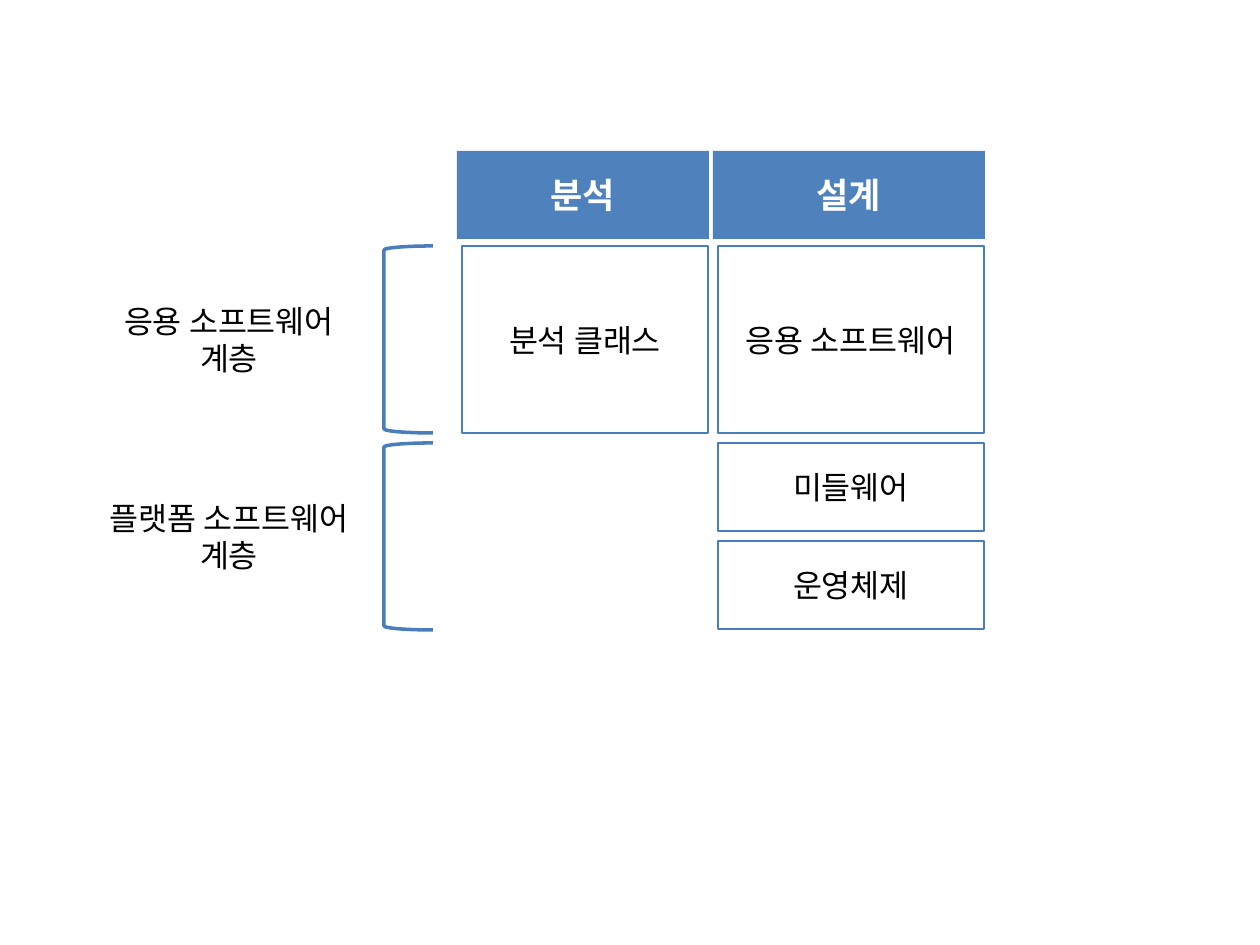
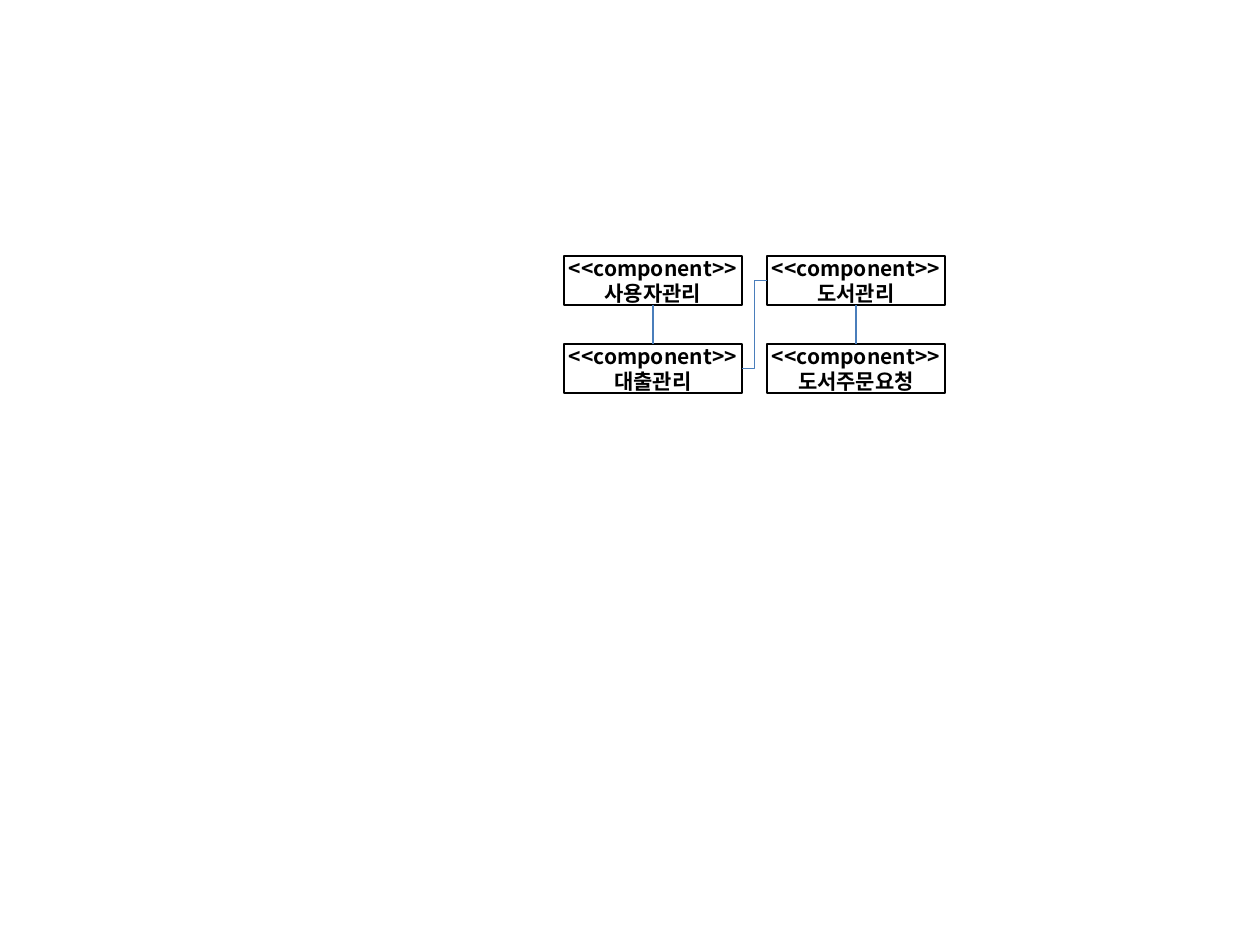
from pptx import Presentation
from pptx.dml.color import RGBColor
from pptx.enum.shapes import MSO_CONNECTOR as Connector, MSO_SHAPE as Shape
from pptx.enum.text import MSO_ANCHOR as Anchor, PP_ALIGN as Align
from pptx.oxml.ns import qn
from pptx.util import Pt
from lxml import etree

PX = 914400 / 126
FONT = "Noto Sans CJK KR"
BLUE, LINE_BLUE = "4F81BD", "4A7EBB"
BLACK, WHITE = "000000", "FFFFFF"
BLANK_LAYOUT = 6
BELOW, ABOVE, LEFT, RIGHT = 2, 0, 1, 3  # connection sites of a rectangle


def px(value):
    return round(value * PX)


def rgb(color):
    return RGBColor.from_string(color)


def write(shape, text, size=18, color=BLACK, bold=False, inset=12):
    """Centre the lines of text in a shape, one paragraph a line."""
    frame = shape.text_frame
    frame.word_wrap = True
    frame.vertical_anchor = Anchor.MIDDLE
    frame.margin_left = frame.margin_right = px(inset)
    frame.margin_top = frame.margin_bottom = px(6)
    for index, line in enumerate(text.split("\n")):
        para = frame.paragraphs[0] if index == 0 else frame.add_paragraph()
        para.alignment = Align.CENTER
        span = para.add_run()
        span.text = line
        font = span.font
        font.name, font.size, font.bold = FONT, Pt(size), bold
        font.color.rgb = rgb(color)
        east_asian = etree.SubElement(font._element, qn("a:ea"))
        east_asian.set("typeface", FONT)


def add_box(shapes, area, kind=Shape.RECTANGLE, fill=None, line=None, width=1.5):
    box = shapes.add_shape(kind, *map(px, area))
    box.shadow.inherit = False
    if fill:
        box.fill.solid()
        box.fill.fore_color.rgb = rgb(fill)
    else:
        box.fill.background()
    if line:
        box.line.color.rgb = rgb(line)
        box.line.width = Pt(width)
    else:
        box.line.fill.background()
    return box


def add_header(slide, area, text, inset):
    header = add_box(slide.shapes, area, fill=BLUE)
    write(header, text, size=20, color=WHITE, bold=True, inset=inset)


def add_cell(slide, area, text):
    write(add_box(slide.shapes, area, line=LINE_BLUE), text)


def add_layer(slide, top, height, name):
    """Draw a bracket with the layer's name centred to its left."""
    add_box(slide.shapes, (384, top, 49, height), Shape.LEFT_BRACKET,
            line=LINE_BLUE, width=2)
    label_height = 50
    label_top = top + (height - label_height) / 2
    label = slide.shapes.add_textbox(*map(px, (79, label_top, 300, label_height)))
    write(label, name)


def add_component(shapes, column, row, name):
    area = (564 + 203 * column, 256 + 88 * row, 178, 49)
    box = add_box(shapes, area, line=BLACK, width=0.75)
    write(box, f"<<component>>\n{name}", size=12, bold=True, inset=0)
    return box


def link(shapes, kind, start, start_site, end, end_site):
    connector = shapes.add_connector(kind, 0, 0, 0, 0)
    connector.begin_connect(start, start_site)
    connector.end_connect(end, end_site)
    connector.line.color.rgb = rgb(LINE_BLUE)
    connector.line.width = Pt(0.75)
    etree.SubElement(connector._element.spPr, qn("a:effectLst"))


def build_layers(slide):
    tall, short, gap = 187, 88, 10
    application_top = 246
    platform_top = application_top + tall + gap
    add_layer(slide, application_top, tall, "응용 소프트웨어\n계층")
    add_layer(slide, platform_top, tall, "플랫폼 소프트웨어\n계층")

    add_header(slide, (457, 151, 252, short), "분석", inset=0)
    add_header(slide, (713, 151, 272, short), "설계", inset=12)

    add_cell(slide, (462, application_top, 246, tall), "분석 클래스")
    add_cell(slide, (718, application_top, 266, tall), "응용 소프트웨어")
    for index, name in enumerate(("미들웨어", "운영체제")):
        top = platform_top + index * (short + gap)
        add_cell(slide, (718, top, 266, short), name)


def build_components(slide):
    shapes = slide.shapes.add_group_shape().shapes
    users = add_component(shapes, 0, 0, "사용자관리")
    books = add_component(shapes, 1, 0, "도서관리")
    loans = add_component(shapes, 0, 1, "대출관리")
    orders = add_component(shapes, 1, 1, "도서주문요청")
    link(shapes, Connector.STRAIGHT, users, BELOW, loans, ABOVE)
    link(shapes, Connector.STRAIGHT, books, BELOW, orders, ABOVE)
    link(shapes, Connector.ELBOW, loans, RIGHT, books, LEFT)


def main():
    deck = Presentation()
    deck.slide_width, deck.slide_height = px(1260), px(945)
    for build in (build_layers, build_components):
        build(deck.slides.add_slide(deck.slide_layouts[BLANK_LAYOUT]))
    deck.save("out.pptx")


if __name__ == "__main__":
    main()
